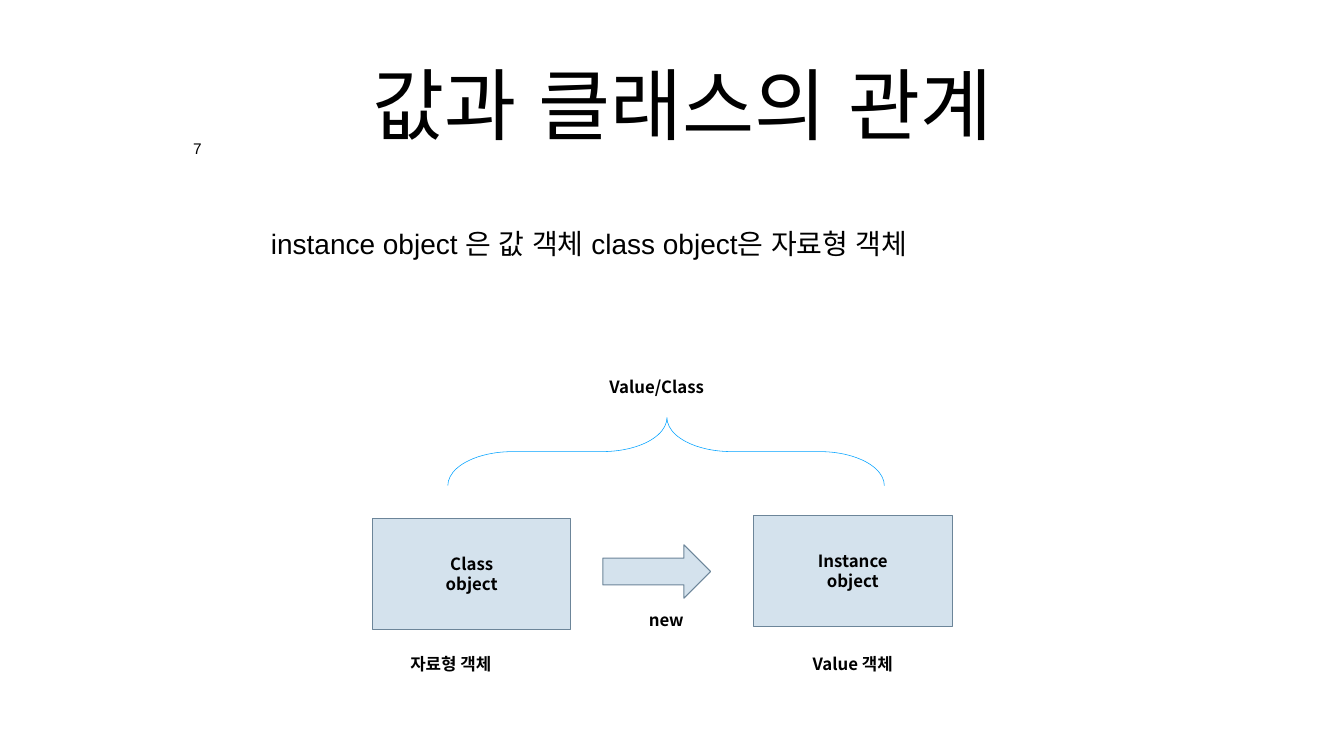
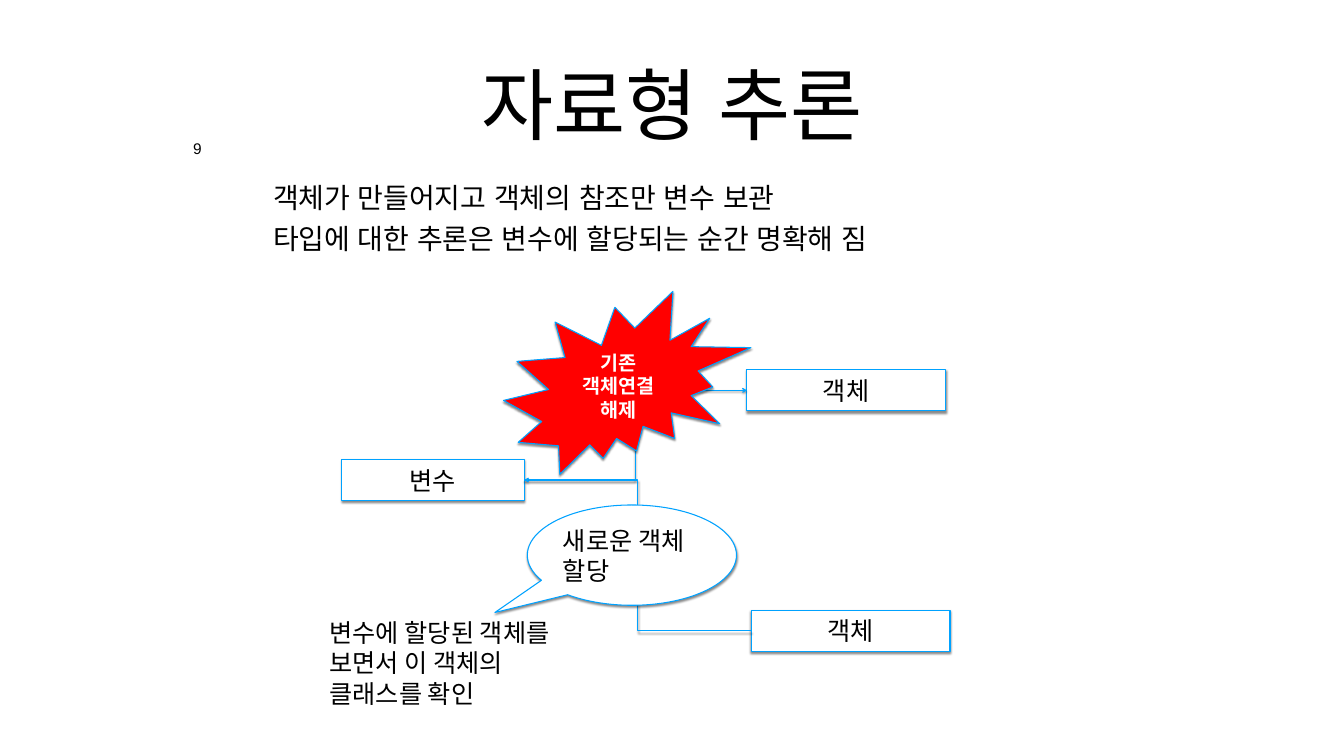
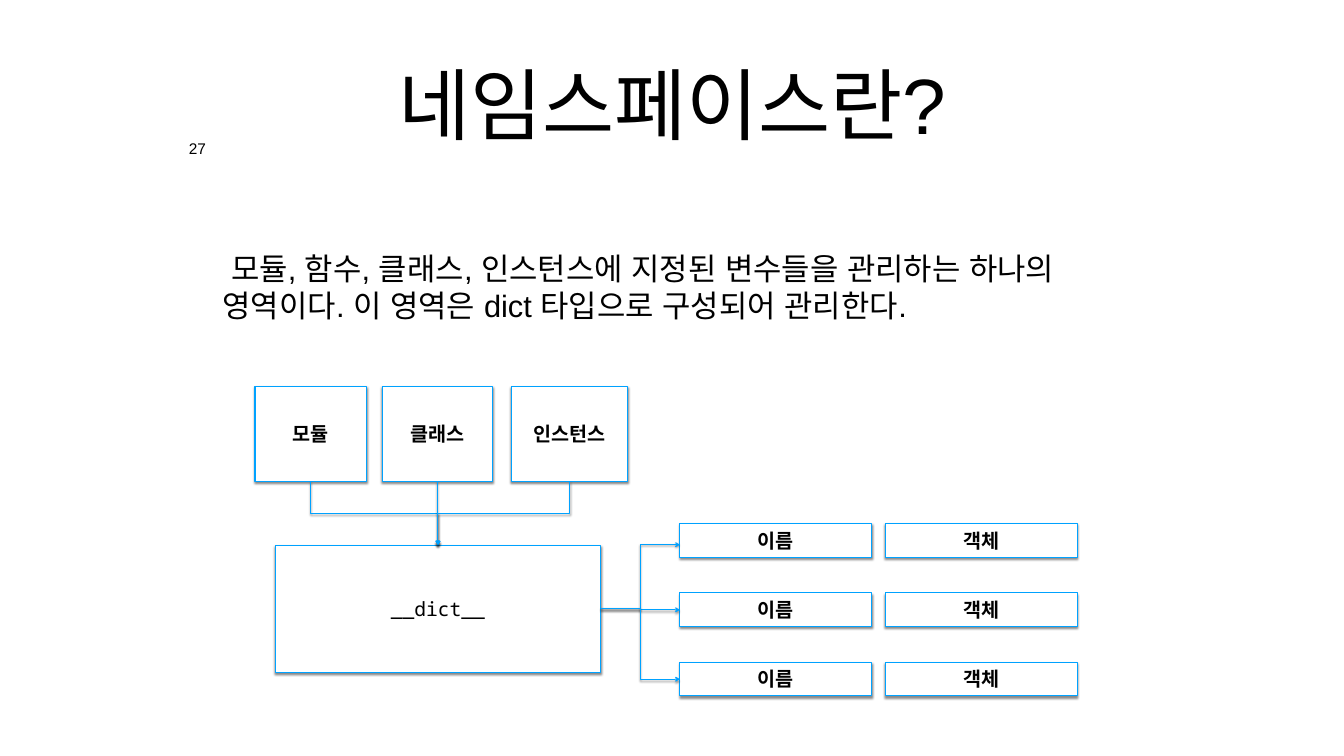
from lxml import etree
from pptx import Presentation
from pptx.dml.color import RGBColor
from pptx.enum.shapes import MSO_CONNECTOR, MSO_SHAPE
from pptx.enum.text import MSO_ANCHOR, MSO_AUTO_SIZE, PP_ALIGN
from pptx.oxml.ns import qn
from pptx.util import Pt

ELBOW = MSO_CONNECTOR.ELBOW
RECT, ARROW, BRACE = MSO_SHAPE.RECTANGLE, MSO_SHAPE.RIGHT_ARROW, MSO_SHAPE.LEFT_BRACE
BURST, CALLOUT = MSO_SHAPE.EXPLOSION2, MSO_SHAPE.OVAL_CALLOUT
TOP, MIDDLE = MSO_ANCHOR.TOP, MSO_ANCHOR.MIDDLE
LEFT, CENTER = PP_ALIGN.LEFT, PP_ALIGN.CENTER
NO_FIT = MSO_AUTO_SIZE.NONE

COLORS = {"text": "000000", "paper": "FFFFFF", "accent": "00A2FF", "alert": "FF0000",
          "pale": "D4E2ED", "slate": "6C8599", "shadow": "000000"}
SANS, KOREAN, MONO = "Arial", "Noto Sans CJK KR", "Noto Sans Mono"

# Shared places: left, top, width, height
TITLE_BOX = (345.6, 28, 1229, 239)
NUMBER_BOX = (264.2, 198, 36, 32.4)

# Text styles
TITLE = {"name": SANS, "size": 112}
BODY = {"name": SANS, "size": 40}
LARGE_BODY = {"name": SANS, "size": 44}
NUMBER = {"name": SANS, "size": 22}
LABEL = {"name": KOREAN, "size": 24, "bold": True}
NODE = {"name": KOREAN, "size": 36}
BURST_TEXT = {"name": KOREAN, "size": 28, "bold": True, "color": "paper"}
CELL = {"name": SANS, "size": 28, "bold": True}
CODE = {"name": MONO, "size": 28}


def color(name):
    return RGBColor.from_string(COLORS[name])


def inside(box, left, top, width, height):
    """Move a place given relative to a region onto the page."""
    return box[0] + left, box[1] + top, width, height


def points(values):
    return [Pt(value) for value in values]


def write(shape, lines, style, align=CENTER, anchor=MIDDLE, inset=(7.2, 7.2),
          wrap=True, first_indent=0, spacing=1.0, before=0):
    frame = shape.text_frame
    side, edge = points(inset)
    settings = {"word_wrap": wrap, "auto_size": NO_FIT, "vertical_anchor": anchor,
                "margin_left": side, "margin_right": side,
                "margin_top": edge, "margin_bottom": edge}
    for key, value in settings.items():
        setattr(frame, key, value)
    for index, line in enumerate(lines):
        para = frame.paragraphs[0] if index == 0 else frame.add_paragraph()
        properties = para._p.get_or_add_pPr()
        properties.set("marL", "0")
        properties.set("indent", str(Pt(first_indent)))
        etree.SubElement(properties, qn("a:buNone"))
        layout = {"alignment": align, "line_spacing": spacing,
                  "space_before": Pt(before if index else 0), "space_after": Pt(0)}
        for key, value in layout.items():
            setattr(para, key, value)
        span = para.add_run()
        span.text = line
        font = {"name": style["name"], "size": Pt(style["size"]),
                "bold": style.get("bold", False)}
        for key, value in font.items():
            setattr(span.font, key, value)
        span.font.color.rgb = color(style.get("color", "text"))
        east_asian = etree.SubElement(span._r.get_or_add_rPr(), qn("a:ea"))
        east_asian.set("typeface", style["name"])


def set_effects(shape, shadow):
    """Call after fill and line, which come first in the shape properties."""
    effects = etree.SubElement(shape._element.spPr, qn("a:effectLst"))
    if shadow:
        outer = etree.SubElement(effects, qn("a:outerShdw"), blurRad=str(Pt(3)),
                                 dist=str(Pt(2.4)), dir="5400000", rotWithShape="0")
        tint = etree.SubElement(outer, qn("a:srgbClr"), val=COLORS["shadow"])
        etree.SubElement(tint, qn("a:alpha"), val="45000")


def add_shape(page, kind, place, fill="paper", line="accent", weight=1.5,
              shadow=True, adjust=()):
    shape = page.shapes.add_shape(kind, *points(place))
    for index, value in enumerate(adjust):
        shape.adjustments[index] = value
    if fill:
        shape.fill.solid()
        shape.fill.fore_color.rgb = color(fill)
    else:
        shape.fill.background()
    shape.line.color.rgb = color(line)
    shape.line.width = Pt(weight)
    set_effects(shape, shadow)
    return shape


def add_node(page, place, text, style=NODE, **options):
    write(add_shape(page, RECT, place, **options), text.split("\n"), style)


def add_text(page, place, text, style, **options):
    write(page.shapes.add_textbox(*points(place)), [text], style, anchor=TOP, **options)


def add_elbow(page, start, end, vertical=False):
    """Arrow with two bends; a vertical one leaves its start downwards."""
    (x1, y1), (x2, y2) = start, end
    if vertical:
        middle_x, middle_y = (x1 + x2) / 2, (y1 + y2) / 2
        half_x, half_y = (x2 - x1) / 2, (y2 - y1) / 2
        x1, x2 = middle_x - half_y, middle_x + half_y
        y1, y2 = middle_y + half_x, middle_y - half_x
    link = page.shapes.add_connector(ELBOW, *points((x1, y1, x2, y2)))
    if vertical:
        link.rotation = 90
    link.line.color.rgb = color("accent")
    link.line.width = Pt(1.5)
    etree.SubElement(link.line._get_or_add_ln(), qn("a:tailEnd"), type="arrow")
    set_effects(link, True)


def left_middle(place):
    return place[0], place[1] + place[3] / 2


def right_middle(place):
    return place[0] + place[2], place[1] + place[3] / 2


def top_center(place):
    return place[0] + place[2] / 2, place[1]


def bottom_center(place):
    return place[0] + place[2] / 2, place[1] + place[3]


def add_page(deck, number, title, body_box, lines, style=BODY, title_indent=0, **options):
    """Title, body text and page number, shared by every slide."""
    page = deck.slides.add_slide(deck.slide_layouts[1])
    heading, body = page.placeholders
    for shape, place in ((heading, TITLE_BOX), (body, body_box)):
        shape.left, shape.top, shape.width, shape.height = points(place)
    write(heading, [title], TITLE, inset=(6, 6), first_indent=title_indent)
    write(body, lines, style, align=LEFT, inset=(6, 6), **options)
    add_text(page, NUMBER_BOX, str(number), NUMBER, inset=(6, 6), wrap=False, spacing=0.8)
    return page


def draw_class_and_instance(page, box):
    # Two objects joined by a block arrow
    pale = {"fill": "pale", "line": "slate", "shadow": False}
    add_node(page, inside(box, 14.3, 206.7, 283.7, 158.4), "Class\nobject", LABEL, **pale)
    add_node(page, inside(box, 558.7, 202.4, 283.7, 158.4), "Instance\nobject", LABEL, **pale)
    add_shape(page, ARROW, inside(box, 343.4, 244.1, 154, 76.3), **pale)

    # Brace over both
    brace = add_shape(page, BRACE, inside(box, 385.2, -200.8, 97.2, 623.5), fill=None,
                      weight=0.79, shadow=False, adjust=(0.95, 0.498))
    brace.rotation = 90

    # Labels
    labels = (("자료형 객체", 0, 396, 252.7), ("Value 객체", 577.4, 396, 246.2),
              ("new", 354.9, 332.7, 158.4), ("Value/Class", 290.1, 0, 260.6))
    for text, left, top, width in labels:
        add_text(page, inside(box, left, top, width, 36), text, LABEL, inset=(7.2, 3.6))


def draw_reassignment(page, box):
    # Variable, its former object and its new object
    variable = inside(box, 24.5, 240.4, 260.6, 58.3)
    former = inside(box, 603.3, 112.3, 283.7, 58.3)
    current = inside(box, 609.8, 455.7, 283.7, 58.3)
    for place, text in ((variable, "변수"), (former, "객체"), (current, "객체")):
        add_node(page, place, text)
    add_elbow(page, right_middle(variable), left_middle(former))
    add_elbow(page, left_middle(current), right_middle(variable))

    # Remarks
    add_text(page, inside(box, 0, 458.6, 380.2, 145.4),
             "변수에 할당된 객체를 보면서 이 객체의 클래스를 확인", NODE, align=LEFT)
    callout = add_shape(page, CALLOUT, inside(box, 289.6, 305.2, 298.8, 143.3),
                        adjust=(-0.655, 0.572))
    write(callout, ["새로운 객체 할당"], NODE, align=LEFT)
    burst = add_shape(page, BURST, inside(box, 255.6, 0, 353.5, 261.4), fill="alert")
    write(burst, ["기존 객체연결 해제"], BURST_TEXT)


def draw_namespace(page, box):
    # The namespace dictionary
    namespace = inside(box, 28.8, 227.5, 465.1, 181.4)
    add_node(page, namespace, "__dict__", CODE)

    # Rows of name and object
    for row in range(3):
        for column, text in enumerate(("이름", "객체")):
            place = inside(box, 607 + 293.8 * column, 196.6 + 99 * row, 273.6, 48.2)
            add_node(page, place, text, CELL)
            if column == 0:
                x, y = left_middle(place)
                drop = 6 if row == 0 else 0
                add_elbow(page, right_middle(namespace), (x, y + drop))

    # Owners of a namespace
    owners = (("모듈", 0, 159.8), ("클래스", 181.5, 158.4), ("인스턴스", 365.8, 167))
    for text, left, width in owners:
        place = inside(box, left, 0, width, 136)
        add_node(page, place, text, CELL)
        add_elbow(page, bottom_center(place), top_center(namespace), vertical=True)


def main():
    deck = Presentation()
    deck.slide_width, deck.slide_height = Pt(1920), Pt(1080)

    page = add_page(deck, 7, "값과 클래스의 관계", (312, 317.5, 1296, 189.4),
                    ["instance object 은 값 객체 class object은 자료형 객체"],
                    title_indent=31, anchor=TOP, first_indent=69)
    draw_class_and_instance(page, (517.7, 534.2, 823.6, 432))

    page = add_page(deck, 9, "자료형 추론", (312, 252, 1296, 321.8),
                    ["객체가 만들어지고 객체의 참조만 변수 보관",
                     "타입에 대한 추론은 변수에 할당되는 순간 명확해 짐"],
                    anchor=TOP, first_indent=72, before=10)
    draw_reassignment(page, (463.7, 416.2, 893.5, 604))

    page = add_page(deck, 27, "네임스페이스란?", (312, 256.3, 1296, 306),
                    ["모듈, 함수, 클래스, 인스턴스에 지정된 변수들을 관리하는 하나의 영역이다. "
                     "이 영역은 dict 타입으로 구성되어 관리한다."],
                    style=LARGE_BODY, first_indent=12)
    draw_namespace(page, (364.3, 551.5, 1174.4, 442.8))

    deck.save("out.pptx")


if __name__ == "__main__":
    main()
